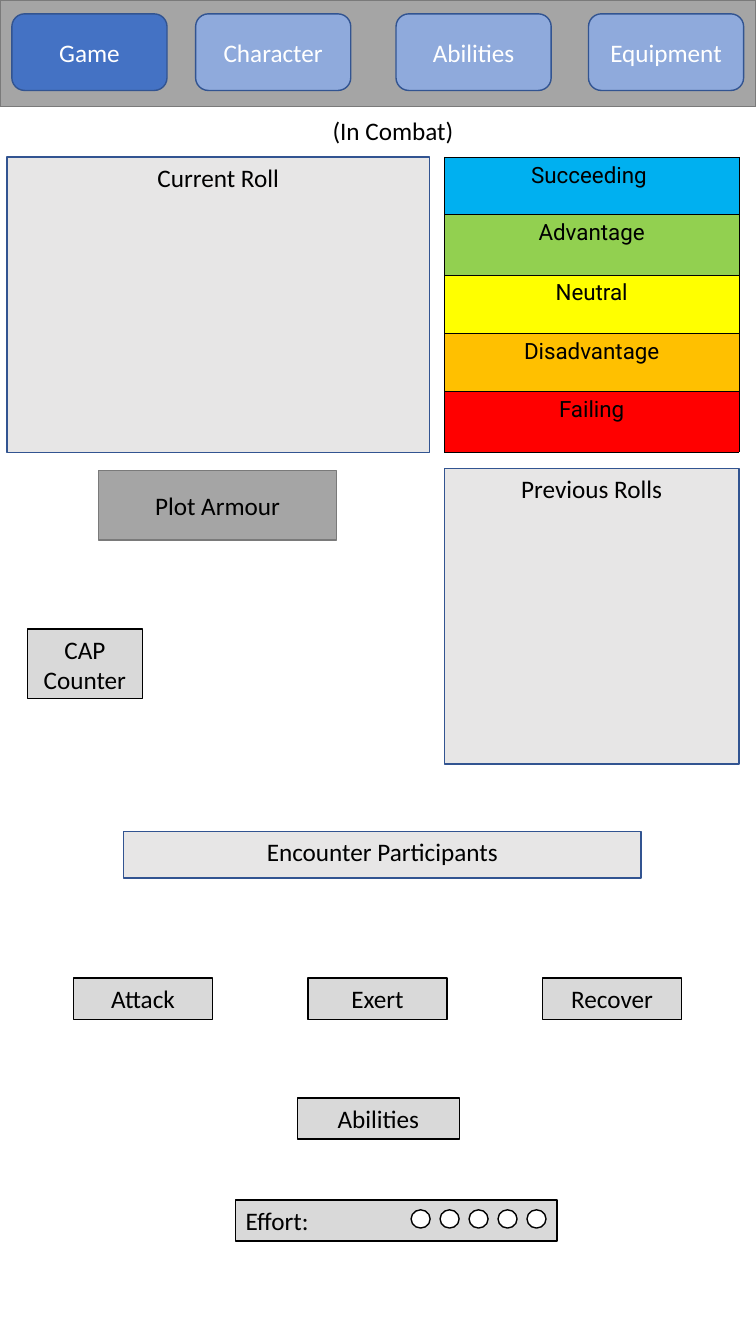
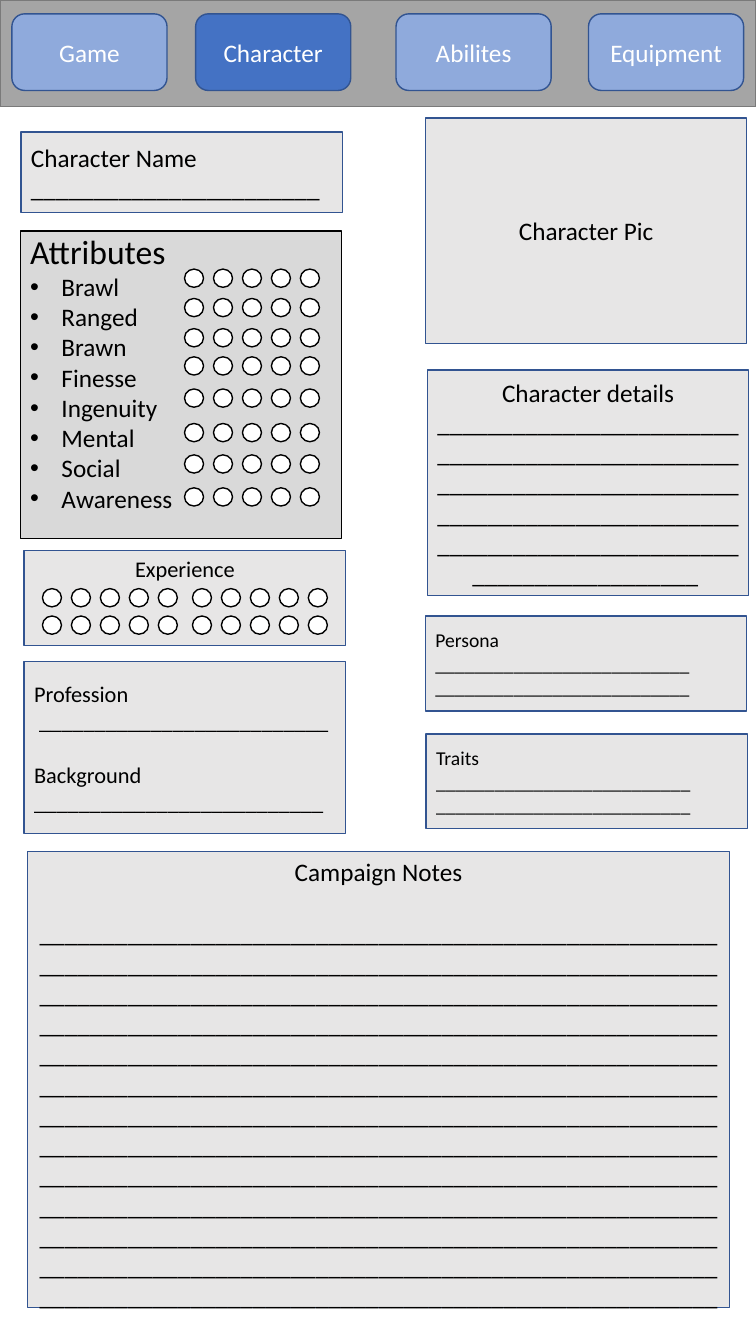
from dataclasses import dataclass
from typing import Any

from lxml.etree import SubElement
from pptx import Presentation
from pptx.dml.color import RGBColor
from pptx.enum.shapes import MSO_SHAPE
from pptx.enum.text import MSO_ANCHOR, PP_ALIGN
from pptx.oxml.ns import qn
from pptx.util import Cm, Pt


@dataclass(frozen=True)
class Theme:
    # Colours
    black: str = "000000"
    white: str = "FFFFFF"
    band: str = "A5A5A5"
    band_line: str = "7A7A7A"
    active: str = "4472C4"
    idle: str = "8FAADC"
    outline: str = "325491"
    panel: str = "E7E6E6"
    button: str = "D9D9D9"
    # Type
    font: str = "Calibri"
    scale_font: str = "Roboto"
    heading: int = 24
    body: int = 18
    small: int = 16
    tiny: int = 14


TOP, MIDDLE = MSO_ANCHOR.TOP, MSO_ANCHOR.MIDDLE
LEFT, CENTER = PP_ALIGN.LEFT, PP_ALIGN.CENTER
DOT_STEP = 0.73
BOX_W = 8.1


@dataclass
class Sheet:
    """Draws the elements of one slide; all lengths are in centimetres."""
    theme: Theme
    slide: Any

    def set_text(self, tf, lines, size, color, align, font=None):
        tf.word_wrap = True
        for i, line in enumerate(lines):
            p = tf.paragraphs[0] if i == 0 else tf.add_paragraph()
            p.text = line
            p.alignment = align
            p.font.name = font or self.theme.font
            p.font.size = Pt(size)
            p.font.color.rgb = RGBColor.from_string(color)

    def shape(self, kind, x, y, w, h, fill, line):
        sp = self.slide.shapes.add_shape(kind, Cm(x), Cm(y), Cm(w), Cm(h))
        sp.shadow.inherit = False
        sp.fill.solid()
        sp.fill.fore_color.rgb = RGBColor.from_string(fill)
        sp.line.color.rgb = RGBColor.from_string(line)
        sp.line.width = Pt(1)
        return sp

    def box(self, x, y, w, h, *lines, fill=None, line=None, size=None,
            color=None, align=CENTER, anchor=TOP, kind=MSO_SHAPE.RECTANGLE):
        t = self.theme
        sp = self.shape(kind, x, y, w, h, fill or t.panel, line or t.outline)
        sp.text_frame.vertical_anchor = anchor
        self.set_text(sp.text_frame, lines, size or t.body, color or t.black, align)
        return sp.text_frame

    def button(self, x, y, w, h, *lines, **style):
        t = self.theme
        return self.box(x, y, w, h, *lines, fill=t.button, line=t.black, **style)

    def label(self, x, y, w, h, text):
        tb = self.slide.shapes.add_textbox(Cm(x), Cm(y), Cm(w), Cm(h))
        self.set_text(tb.text_frame, [text], self.theme.body, self.theme.black, LEFT)

    def dots(self, x, y, count=5):
        for i in range(count):
            self.shape(MSO_SHAPE.OVAL, x + i * DOT_STEP, y, 0.48, 0.46,
                       self.theme.white, self.theme.black)

    def navigation(self, names, current):
        t = self.theme
        self.shape(MSO_SHAPE.RECTANGLE, 0, 0, 19.05, 2.69, t.band, t.band_line)
        for x, name in zip((0.3, 4.93, 9.98, 14.83), names):
            self.box(x, 0.35, 3.91, 1.93, name, color=t.white, anchor=MIDDLE,
                     fill=t.active if name == current else t.idle,
                     kind=MSO_SHAPE.ROUNDED_RECTANGLE)

    def scale(self, x, y, w, rows):
        """One-column table; each row is (text, fill, height)."""
        t = self.theme
        height = sum(row[2] for row in rows)
        table = self.slide.shapes.add_table(
            len(rows), 1, Cm(x), Cm(y), Cm(w), Cm(height)).table
        table.first_row = table.horz_banding = False
        for i, (text, fill, h) in enumerate(rows):
            table.rows[i].height = Cm(h)
            cell = table.cell(i, 0)
            cell.margin_left = cell.margin_right = Cm(0.18)
            cell.margin_top = cell.margin_bottom = Cm(0.13)
            self.set_text(cell.text_frame, [text], t.small, t.black, CENTER, t.scale_font)
            self.borders(cell)
            cell.fill.solid()
            cell.fill.fore_color.rgb = RGBColor.from_string(fill)

    def borders(self, cell):
        tc_pr = cell._tc.get_or_add_tcPr()
        for side in ("a:lnL", "a:lnR", "a:lnT", "a:lnB"):
            ln = SubElement(tc_pr, qn(side), w=str(Pt(0.5)))
            solid = SubElement(ln, qn("a:solidFill"))
            SubElement(solid, qn("a:srgbClr"), val=self.theme.black)

    def bullet(self, p):
        p_pr = p._p.get_or_add_pPr()
        p_pr.set("marL", str(Cm(0.79)))
        p_pr.set("indent", str(Cm(-0.79)))
        # Bullets come before the default run properties
        bu = p_pr.makeelement(qn("a:buChar"), {"char": "•"})
        font = p_pr.makeelement(qn("a:buFont"), {"typeface": "Arial"})
        p_pr.insert(0, font)
        font.addnext(bu)


theme = Theme()
prs = Presentation()
prs.slide_width, prs.slide_height = Cm(19.05), Cm(33.86)


def new_sheet():
    return Sheet(theme, prs.slides.add_slide(prs.slide_layouts[6]))


# Slide 1: game screen
s = new_sheet()
s.navigation(("Game", "Character", "Abilities", "Equipment"), "Game")
s.label(8.13, 2.79, 3.71, 1.02, "(In Combat)")

# Rolls and the outcome scale
s.box(0.18, 3.96, 10.64, 7.44, "Current Roll")
s.scale(11.2, 3.96, 7.42, (
    ("Succeeding\u00a0", "00B0F0", 1.45),
    ("Advantage", "92D050", 1.52),
    ("Neutral", "FFFF00", 1.47),
    ("Disadvantage", "FFC000", 1.47),
    ("Failing", "FF0000", 1.52),
))
s.box(11.2, 11.81, 7.42, 7.44, "Previous Rolls")
s.box(2.49, 11.86, 5.99, 1.75, "Plot Armour", fill=theme.band,
      line=theme.band_line, anchor=MIDDLE)
s.button(0.69, 15.85, 2.9, 1.75, "CAP Counter")
s.box(3.12, 20.95, 13.03, 1.17, "Encounter Participants")

# Actions
for i, action in enumerate(("Attack", "Exert", "Recover")):
    s.button(1.85 + i * 5.91, 24.64, 3.51, 1.04, action)
s.button(7.49, 27.66, 4.09, 1.04, "Abilities")
s.button(5.94, 30.23, BOX_W, 1.04, "Effort:", align=LEFT)
s.dots(10.36, 30.48)

# Slide 2: character sheet
s = new_sheet()
s.navigation(("Game", "Character", "Abilites", "Equipment"), "Character")
s.box(0.53, 3.33, BOX_W, 2.03, "Character Name", "_" * 23, align=LEFT, anchor=MIDDLE)

# Attributes with their ratings
attributes = (
    ("Brawl", 6.78), ("Ranged", 7.52), ("Brawn", 8.28), ("Finesse", 8.99),
    ("Ingenuity", 9.8), ("Mental", 10.67), ("Social", 11.46), ("Awareness", 12.29),
)
tf = s.button(0.51, 5.82, BOX_W, 7.75, "Attributes",
              *(name for name, _ in attributes), align=LEFT)
tf.margin_top = 0
tf.paragraphs[0].font.size = Pt(theme.heading)
for p in tf.paragraphs[1:]:
    s.bullet(p)
for _, y in attributes:
    s.dots(4.65, y)

# Experience
s.box(0.61, 13.87, BOX_W, 2.39, "Experience", size=theme.small)
for y in (14.83, 15.52):
    for x in (1.07, 4.85):
        s.dots(x, y)

# Profession and background
tf = s.box(0.61, 16.66, BOX_W, 4.34, "Profession", " " + "_" * 26, "Background",
           "_" * 26, size=theme.small, align=LEFT, anchor=MIDDLE)
tf.paragraphs[2].space_before = Pt(19.5)

# Portrait, details, persona and traits
s.box(10.72, 2.97, BOX_W, 5.69, "Character Pic", anchor=MIDDLE)
s.box(10.77, 9.32, BOX_W, 5.69, "Character details", "_" * 138 + " ", anchor=MIDDLE)
for x, y, name in ((10.72, 15.52, "Persona"), (10.74, 18.49, "Traits")):
    s.box(x, y, BOX_W, 2.39, name, "_" * 26, "_" * 26,
          size=theme.tiny, align=LEFT, anchor=MIDDLE)

# Campaign notes
tf = s.box(0.69, 21.46, 17.7, 11.48, "Campaign Notes", "_" * 702)
tf.paragraphs[1].space_before = Pt(22)

prs.save("out.pptx")
